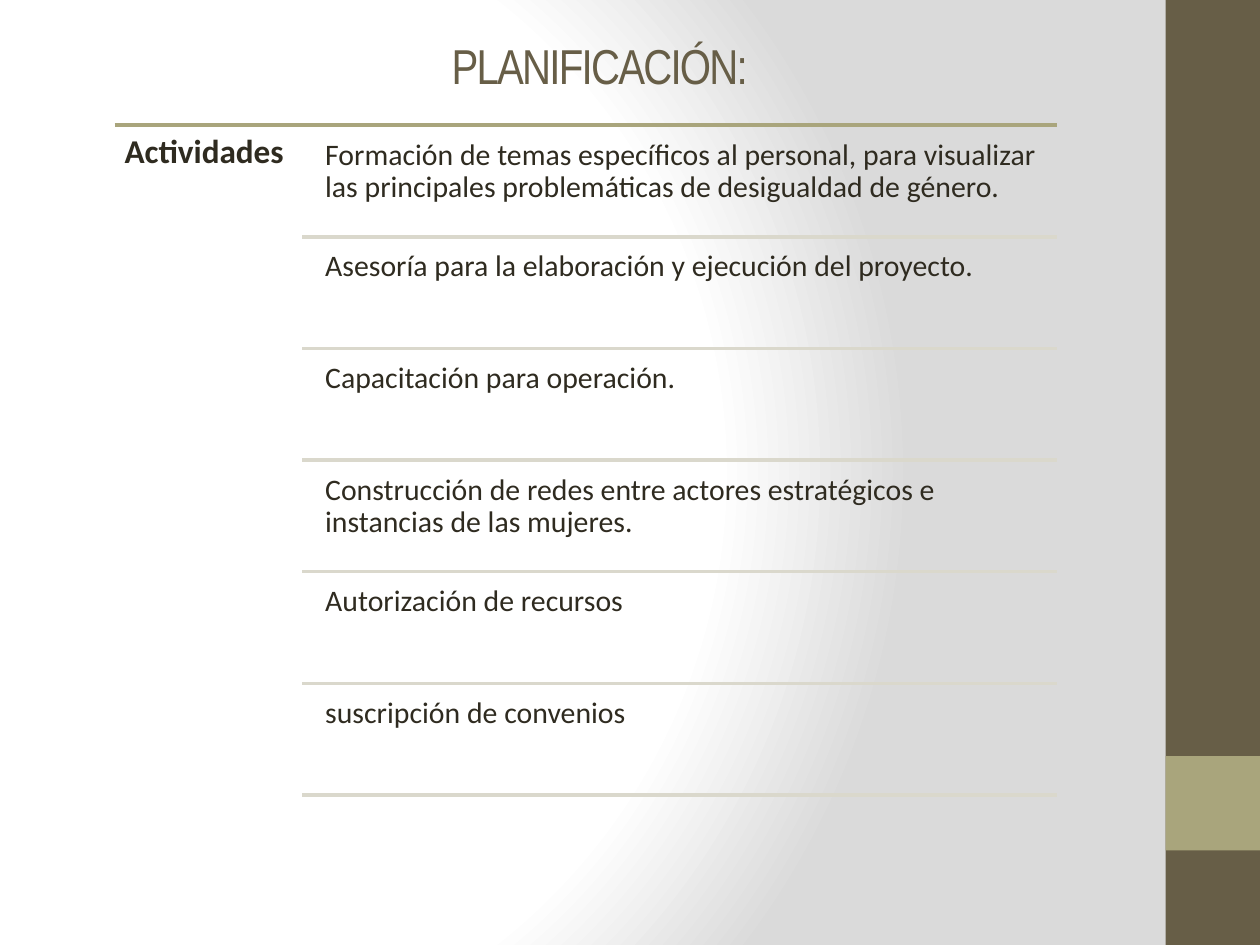
import pptx
import pptx.dml.color
import pptx.enum.shapes
import pptx.enum.text
import pptx.oxml
import pptx.oxml.ns
import pptx.util

Pt = pptx.util.Pt

BROWN, OLIVE, PALE, INK = "675E47", "A9A57C", "DAD8CC", "2F2B20"
ACTIVITIES = [
    "Formación de temas específicos al personal, para visualizar las principales "
    "problemáticas de desigualdad de género.",
    "Asesoría para la elaboración y ejecución del proyecto.",
    "Capacitación para operación.",
    "Construcción de redes entre actores estratégicos e instancias de las mujeres.",
    "Autorización de recursos",
    "suscripción de convenios",
]
LIST_LEFT, LIST_RIGHT, LIST_TOP = 65.5, 604, 71.5
RULE_LEFT, TEXT_LEFT = 172.8, 180.7
ROW_PITCH, ROW_GAP = 63.8, 3.2

BACKGROUND = """
<p:bg xmlns:p="http://schemas.openxmlformats.org/presentationml/2006/main"
      xmlns:a="http://schemas.openxmlformats.org/drawingml/2006/main">
  <p:bgPr>
    <a:gradFill rotWithShape="1">
      <a:gsLst>
        <a:gs pos="0"><a:srgbClr val="FFFFFF"/></a:gs>
        <a:gs pos="75000"><a:srgbClr val="FFFFFF"/></a:gs>
        <a:gs pos="100000"><a:srgbClr val="DADADA"/></a:gs>
      </a:gsLst>
      <a:path path="circle">
        <a:fillToRect l="20000" t="50000" r="100000" b="50000"/>
      </a:path>
    </a:gradFill>
    <a:effectLst/>
  </p:bgPr>
</p:bg>"""


def colour(hex_string):
    return pptx.dml.color.RGBColor.from_string(hex_string)


def set_background(page):
    page._element.cSld.insert(0, pptx.oxml.parse_xml(BACKGROUND))


def add_band(page, top, height, fill):
    band = page.shapes.add_shape(
        pptx.enum.shapes.MSO_SHAPE.RECTANGLE, Pt(666), Pt(top), Pt(54), Pt(height))
    band.shadow.inherit = False
    band.fill.solid()
    band.fill.fore_color.rgb = colour(fill)
    band.line.fill.background()


def add_rule(page, left, y, hex_string):
    """Draw a horizontal line from left to the right edge of the list."""
    rule = page.shapes.add_connector(
        pptx.enum.shapes.MSO_CONNECTOR.STRAIGHT, Pt(left), Pt(y), Pt(LIST_RIGHT), Pt(y))
    rule.line.color.rgb = colour(hex_string)
    rule.line.width = Pt(2)
    rule._element.spPr.append(pptx.oxml.parse_xml(
        '<a:effectLst xmlns:a="http://schemas.openxmlformats.org/drawingml/2006/main"/>'))


def add_span(para, text, size, font_name, hex_string, bold=False):
    span = para.add_run()
    span.text = text
    span.font.size = Pt(size)
    span.font.name = font_name
    span.font.bold = bold
    span.font.color.rgb = colour(hex_string)
    return span


def add_title(page, text):
    title = page.shapes.title
    title.left, title.top, title.width, title.height = Pt(36.7), Pt(15.1), Pt(612), Pt(107.3)
    frame = title.text_frame
    frame.vertical_anchor = pptx.enum.text.MSO_ANCHOR.TOP
    frame.margin_top = Pt(5)
    para = frame.paragraphs[0]
    para.alignment = pptx.enum.text.PP_ALIGN.CENTER
    span = add_span(para, text, 28, "Arial Narrow", BROWN)
    span.font._element.set("spc", "-100")


def add_text(page, text, left, top, width, height, inset, size, bold=False):
    box = page.shapes.add_textbox(Pt(left), Pt(top), Pt(width), Pt(height))
    frame = box.text_frame
    frame.word_wrap = True
    frame.margin_left = frame.margin_right = Pt(inset)
    frame.margin_top = frame.margin_bottom = Pt(inset)
    para = frame.paragraphs[0]
    para.line_spacing = 0.9
    add_span(para, text, size, "Calibri", INK, bold)


def add_activities(page):
    add_rule(page, LIST_LEFT, LIST_TOP, OLIVE)
    add_text(page, "Actividades", LIST_LEFT, LIST_TOP, 108,
             ROW_PITCH * len(ACTIVITIES), 5.7, 19, bold=True)
    for index, activity in enumerate(ACTIVITIES):
        top = LIST_TOP + index * ROW_PITCH
        add_text(page, activity, TEXT_LEFT, top + ROW_GAP, LIST_RIGHT - TEXT_LEFT,
                 ROW_PITCH - ROW_GAP, 5.1, 17)
        add_rule(page, RULE_LEFT, top + ROW_PITCH, PALE)


def main():
    deck = pptx.Presentation()
    deck.slide_width, deck.slide_height = Pt(720), Pt(540)
    page = deck.slides.add_slide(deck.slide_layouts.get_by_name("Title Only"))
    set_background(page)
    add_band(page, 0, 540, BROWN)
    add_band(page, 432, 54, OLIVE)
    add_title(page, "PLANIFICACIÓN:")
    add_activities(page)
    deck.save("out.pptx")


if __name__ == "__main__":
    main()
